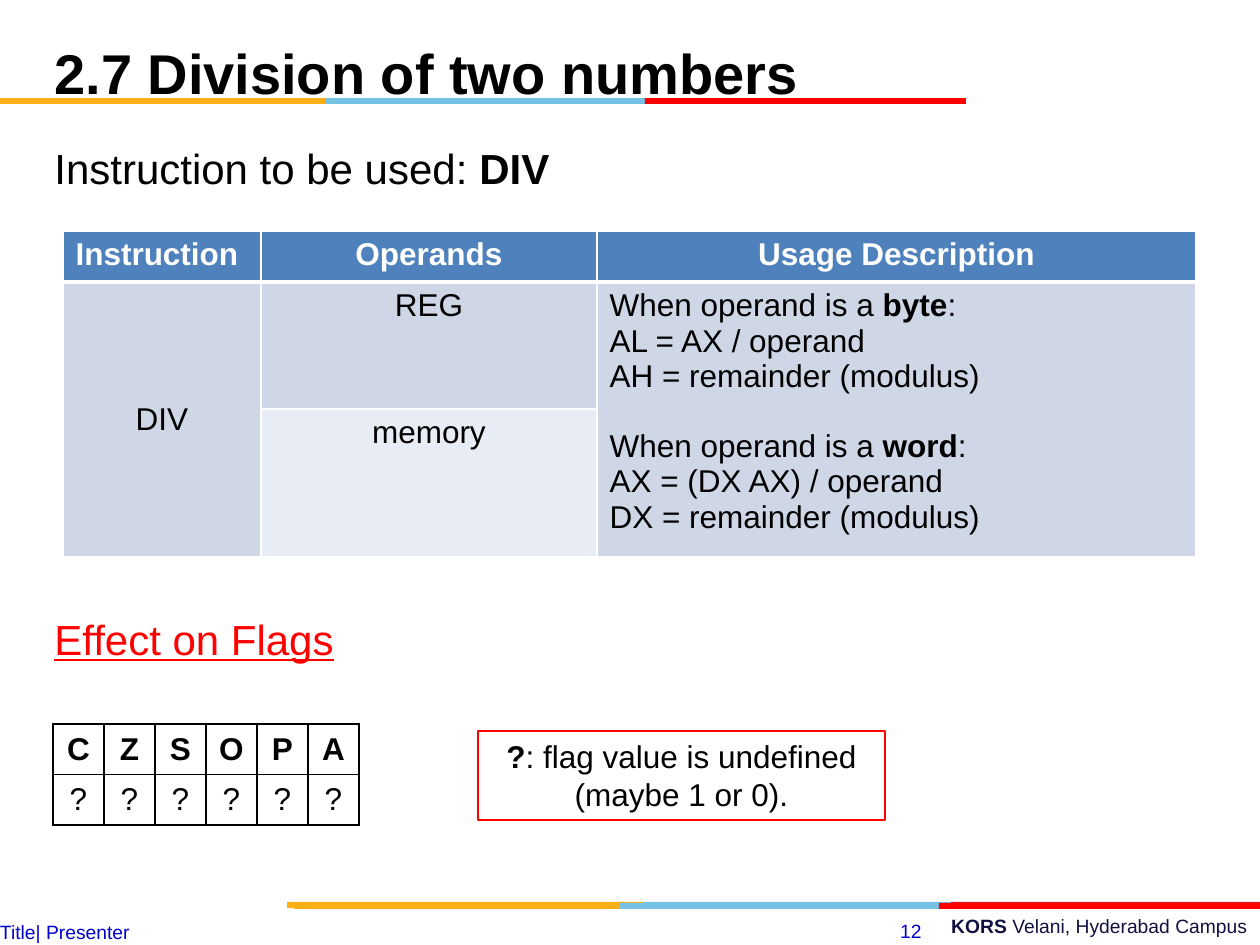
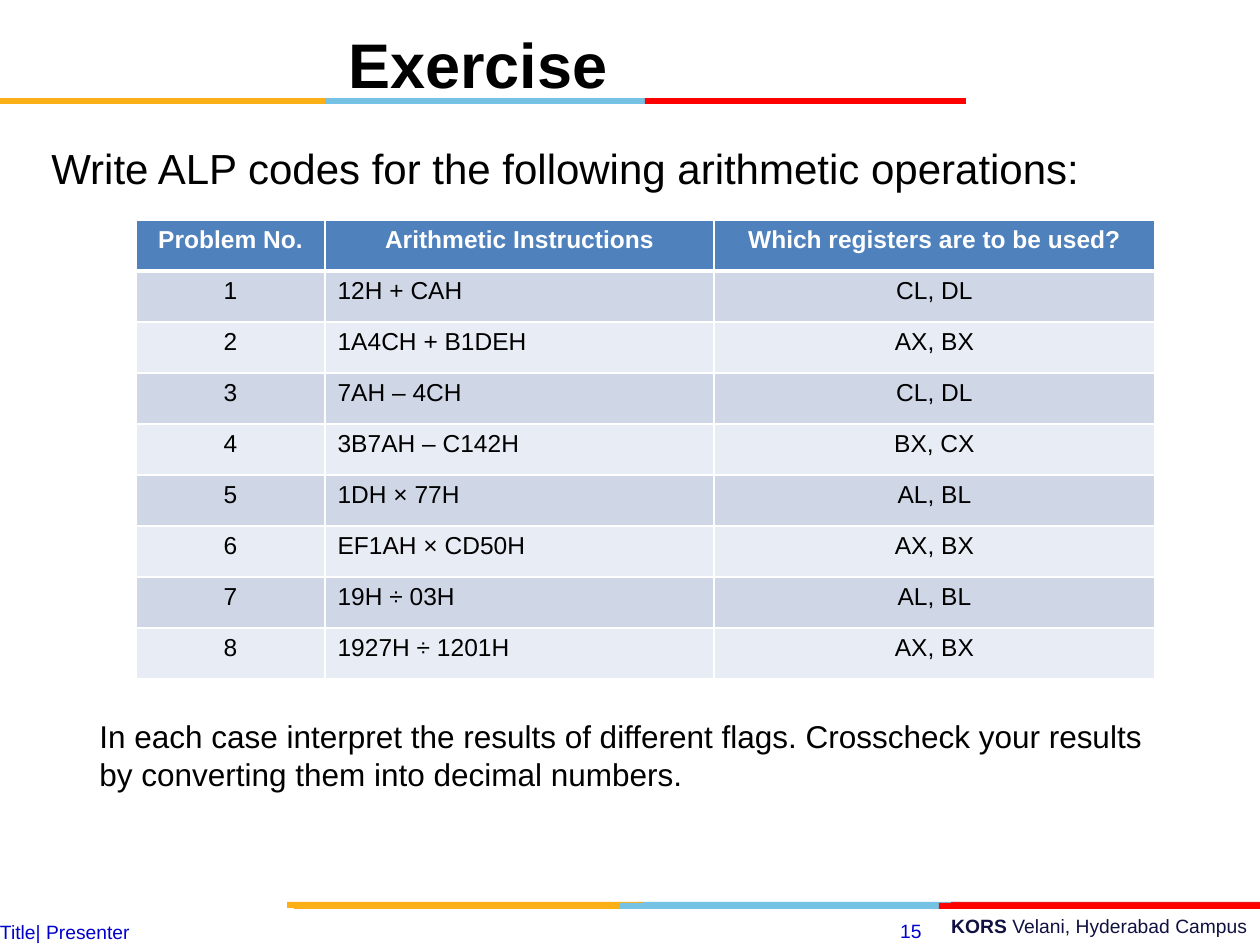
from dataclasses import dataclass

from lxml.etree import SubElement
from pptx import Presentation
from pptx.dml.color import RGBColor
from pptx.enum.shapes import MSO_SHAPE as Preset
from pptx.enum.text import MSO_ANCHOR as Anchor, PP_ALIGN as Align
from pptx.oxml.ns import qn
from pptx.util import Emu, Pt

PX_PER_INCH = 126
ALIGNMENTS = {"l": Align.LEFT, "c": Align.CENTER, "r": Align.RIGHT}


@dataclass(frozen=True)
class Theme:
    font: str = "Arial"
    black: str = "000000"
    white: str = "FFFFFF"
    red: str = "FF0000"
    dark_red: str = "E31C24"
    yellow: str = "FCB017"
    blue: str = "76C2E5"
    navy: str = "101141"
    footer_blue: str = "0000CC"
    header_fill: str = "4F81BD"
    odd_fill: str = "CFD7E7"
    even_fill: str = "E8ECF4"
    footer_size: int = 11
    table_size: int = 14
    text_size: int = 18
    lead_size: int = 24
    title_size: int = 32
    big_title_size: int = 36


THEME = Theme()


def px(length):
    return Emu(round(length * 914400 / PX_PER_INCH))


def color(value):
    return RGBColor.from_string(value)


def write_text(frame, lines, size=THEME.text_size, ink=THEME.black, bold=False,
               underline=False, align="l", anchor=Anchor.TOP,
               line_spacing=None, gaps=None):
    """Text between asterisks is bold; gaps maps a line index to its space before."""
    frame.word_wrap = True
    frame.vertical_anchor = anchor
    for index, line in enumerate(lines):
        paragraph = frame.paragraphs[0] if index == 0 else frame.add_paragraph()
        paragraph.alignment = ALIGNMENTS[align]
        paragraph.line_spacing = line_spacing
        paragraph.space_before = Pt((gaps or {}).get(index, 0))
        for position, part in enumerate(line.split("*")):
            if not part:
                continue
            run = paragraph.add_run()
            run.text = part
            font = run.font
            font.name, font.size = THEME.font, Pt(size)
            font.bold = bold or position % 2 == 1
            font.underline = underline
            font.color.rgb = color(ink)


def add_text(slide, box, *lines, inset=True, **text_format):
    frame = slide.shapes.add_textbox(*map(px, box)).text_frame
    if not inset:
        frame.margin_left = frame.margin_right = 0
        frame.margin_top = frame.margin_bottom = 0
    write_text(frame, lines, **text_format)


def add_rectangle(slide, box, fill=None, line=None):
    shape = slide.shapes.add_shape(Preset.RECTANGLE, *map(px, box))
    shape.shadow.inherit = False
    if fill:
        shape.fill.solid()
        shape.fill.fore_color.rgb = color(fill)
    else:
        shape.fill.background()
    if line:
        shape.line.color.rgb = color(line)
        shape.line.width = Pt(0.75)
    else:
        shape.line.fill.background()
    return shape


def add_band(slide, top, *segments):
    for left, right, fill in segments:
        add_rectangle(slide, (left, top, right - left, 6), fill=fill)


def add_frame(slide, number):
    add_text(slide, (451, 908, 809, 36), "*KORS* Velani, Hyderabad Campus",
             size=THEME.footer_size, ink=THEME.navy, align="r")
    add_band(slide, 902, (638, 959, THEME.blue), (951, 1260, THEME.dark_red),
             (287, 643, THEME.yellow))
    add_band(slide, 903, (620, 941, THEME.blue), (294, 620, THEME.yellow),
             (939, 1260, THEME.red))
    add_band(slide, 98, (325, 646, THEME.blue), (0, 325, THEME.yellow),
             (645, 966, THEME.red))
    footer = dict(size=THEME.footer_size, ink=THEME.footer_blue)
    add_text(slide, (840, 913, 94, 35), str(number), align="r", **footer)
    add_text(slide, (0, 920, 882, 24), "Title| Presenter", inset=False, **footer)


def add_title(slide, text, height, size=THEME.title_size, **text_format):
    add_text(slide, (42, 21, 872, height), text, size=size, bold=True,
             anchor=Anchor.MIDDLE, **text_format)


def set_borders(cell, ink, widths):
    properties = cell._tc.get_or_add_tcPr()
    for position, (side, width) in enumerate(zip("LRTB", widths)):
        line = SubElement(properties, qn(f"a:ln{side}"), w=str(Pt(width)))
        fill = SubElement(line, qn("a:solidFill"))
        SubElement(fill, qn("a:srgbClr"), val=ink)
        properties.remove(line)
        properties.insert(position, line)


def add_grid(slide, left, top, columns, heights):
    shape = slide.shapes.add_table(len(heights), len(columns), px(left), px(top),
                                   px(sum(columns)), px(sum(heights)))
    table = shape.table
    table.first_row = table.horz_banding = False
    for column, width in zip(table.columns, columns):
        column.width = px(width)
    for row, height in zip(table.rows, heights):
        row.height = px(height)
    return table


def add_banded_table(slide, left, top, columns, heights, rows, size,
                     alignments, header_alignments="ccc"):
    table = add_grid(slide, left, top, columns, heights)
    for row_index, row in enumerate(rows):
        header = row_index == 0
        band = THEME.odd_fill if row_index % 2 else THEME.even_fill
        for column_index, text in enumerate(row):
            cell = table.cell(row_index, column_index)
            cell.fill.solid()
            cell.fill.fore_color.rgb = color(THEME.header_fill if header else band)
            set_borders(cell, THEME.white,
                        (1, 1, 3 if row_index == 1 else 1, 3 if header else 1))
            if text:
                aligns = header_alignments if header else alignments
                write_text(cell.text_frame, [text], size=size, bold=header,
                           ink=THEME.white if header else THEME.black,
                           align=aligns[column_index])
    return table


def add_flag_table(slide, flags):
    table = add_grid(slide, 53, 724, [51] * len(flags), [48, 48])
    for column_index, flag in enumerate(flags):
        for row_index, text in enumerate((flag, "?")):
            cell = table.cell(row_index, column_index)
            cell.fill.background()
            set_borders(cell, THEME.black, (1, 1, 1, 1))
            cell.vertical_anchor = Anchor.MIDDLE
            write_text(cell.text_frame, [text], bold=row_index == 0,
                       align="c", anchor=Anchor.MIDDLE)


def build_division(slide):
    add_frame(slide, 12)
    add_title(slide, "2.7 Division of two numbers", 95, line_spacing=1.12)
    add_text(slide, (42, 136, 1197, 60), "Instruction to be used: *DIV*",
             size=THEME.lead_size)
    add_text(slide, (42, 607, 1197, 60), "Effect on Flags",
             size=THEME.lead_size, ink=THEME.red, underline=True)
    add_flag_table(slide, "CZSOPA")

    table = add_banded_table(
        slide, 63, 231, [198, 336, 599], [51, 127, 132],
        [("Instruction", "Operands", "Usage Description"),
         ("DIV", "REG", None),
         (None, "memory", None)],
        THEME.text_size, "ccl", header_alignments="lcc")
    for column_index in (0, 2):
        table.cell(1, column_index).merge(table.cell(2, column_index))
    table.cell(1, 0).vertical_anchor = Anchor.MIDDLE
    write_text(table.cell(1, 2).text_frame, [
        "When operand is a *byte*:",
        "AL = AX / operand",
        "AH = remainder (modulus)",
        "When operand is a *word*:",
        "AX = (DX AX) / operand",
        "DX = remainder (modulus)",
    ], gaps={3: 20})

    callout = add_rectangle(slide, (478, 731, 407, 89), line=THEME.red)
    write_text(callout.text_frame,
               ["*?*: flag value is undefined (maybe 1 or 0)."], align="c")


def build_exercise(slide):
    add_frame(slide, 15)
    add_text(slide, (39, 136, 1134, 60),
             "Write ALP codes for the following arithmetic operations:",
             size=THEME.lead_size)
    add_text(slide, (87, 711, 1086, 90),
             "In each case interpret the results of different flags. "
             "Crosscheck your results by converting them into decimal numbers.")
    add_title(slide, "Exercise", 84, size=THEME.big_title_size, align="c")

    problems = [
        ("12H + CAH", "CL, DL"),
        ("1A4CH + B1DEH", "AX, BX"),
        ("7AH – 4CH", "CL, DL"),
        ("3B7AH – C142H", "BX, CX"),
        ("1DH × 77H", "AL, BL"),
        ("EF1AH × CD50H", "AX, BX"),
        ("19H ÷ 03H", "AL, BL"),
        ("1927H ÷ 1201H", "AX, BX"),
    ]
    rows = [("Problem No.", "Arithmetic Instructions",
             "Which registers are to be used?")]
    rows += [(str(number), *problem) for number, problem in enumerate(problems, 1)]
    add_banded_table(slide, 136, 220, [189, 389, 441], [51] * len(rows), rows,
                     THEME.table_size, "clc")


def main():
    presentation = Presentation()
    presentation.slide_width, presentation.slide_height = px(1260), px(945)
    for build in (build_division, build_exercise):
        build(presentation.slides.add_slide(presentation.slide_layouts[6]))
    presentation.save("out.pptx")


if __name__ == "__main__":
    main()
